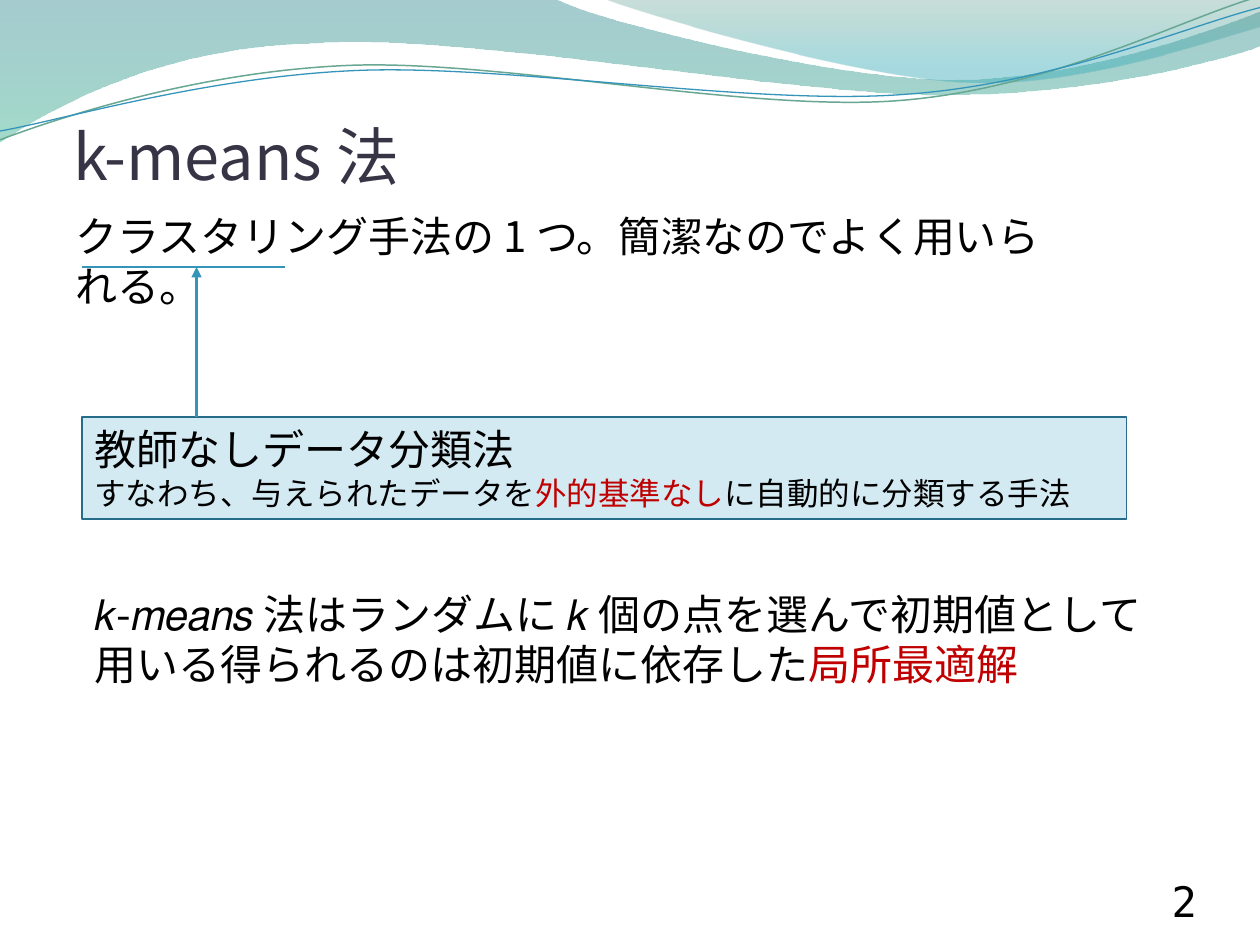
from lxml.etree import SubElement
from pptx import Presentation
from pptx.dml.color import RGBColor
from pptx.enum.shapes import MSO_CONNECTOR, MSO_SHAPE
from pptx.enum.text import MSO_ANCHOR, MSO_AUTO_SIZE, PP_ALIGN
from pptx.oxml.ns import qn
from pptx.util import Inches, Pt

SANS = "Noto Sans CJK JP"
MONO = "DejaVu Sans Mono"
BLACK = "000000"
RED = "C00000"
BLUE = "3494BA"


def add_wave(slide, start, segments, closed):
    corners = [(Inches(x), Inches(y)) for x, y in [start] + [s[-2:] for s in segments]]
    builder = slide.shapes.build_freeform(*corners[0])
    builder.add_line_segments(corners[1:], close=closed)
    shape = builder.convert_to_shape()
    shape.shadow.inherit = False
    edges = list(shape._element.iter(qn("a:lnTo")))
    for edge, segment in zip(edges, segments):
        if len(segment) == 6:
            curve = edge.makeelement(qn("a:cubicBezTo"))
            for x, y in zip(segment[::2], segment[1::2]):
                SubElement(curve, qn("a:pt"), x=str(Inches(x) - shape.left),
                           y=str(Inches(y) - shape.top))
            edge.getparent().replace(edge, curve)
    return shape


def add_runs(paragraph, size, pieces, font_name=SANS):
    for text, color in pieces:
        run = paragraph.add_run()
        run.text = text
        run.font.size = Pt(size)
        run.font.name = font_name
        run.font.color.rgb = RGBColor.from_string(color)
        SubElement(run.font._element, qn("a:ea"), typeface=font_name)


presentation = Presentation()
presentation.slide_width = Inches(10)
presentation.slide_height = Inches(7.5)
slide = presentation.slides.add_slide(presentation.slide_layouts[5])

filled_waves = [
    ((0, 0), [(4.4, -0.01), (4.75, 0.17, 6.63, 0.63, 7.58, 0.63),
              (8.53, 0.63, 9.58, 0.26, 10, 0.09), (10.01, 0.36),
              (9.83, 0.44, 8.69, 0.76, 7.46, 0.75), (6.22, 0.75, 3.81, 0.28, 2.57, 0.34),
              (1.29, 0.36, 0.46, 0.83, -0.01, 1.13)],
     [(0, "398D96", 45), (1, "58BD9F", 55)]),
    ((4.79, -0.01), [(5.09, 0.11, 6.82, 0.62, 7.68, 0.65),
                     (8.55, 0.69, 9.61, 0.32, 10, 0.21), (10, 0)],
     [(0, "4F947F", 30), (0.8, "3BAFBC", 45)]),
]
for start, segments, stops in filled_waves:
    wave = add_wave(slide, start, segments, True)
    wave.line.fill.background()
    wave.fill.gradient()
    wave.fill.gradient_angle = 270
    for stop, (position, color, opacity) in zip(wave.fill.gradient_stops, stops):
        stop.position = position
        stop.color.rgb = RGBColor.from_string(color)
    gradient_colors = list(wave._element.spPr.iter(qn("a:srgbClr")))
    for element, (position, color, opacity) in zip(gradient_colors, stops):
        SubElement(element, qn("a:alpha"), val=str(opacity * 1000))

line_waves = [
    ((0, 1.11), [(0.48, 0.93, 1.57, 0.57, 2.76, 0.52), (3.95, 0.47, 5.92, 0.89, 7.12, 0.8),
                 (8.33, 0.71, 9.38, 0.15, 9.97, -0.02)], "67A793", 0.85),
    ((0, 1.04), [(0.47, 0.96, 1.63, 0.61, 2.83, 0.56), (4.02, 0.51, 5.97, 0.84, 7.17, 0.75),
                 (8.36, 0.67, 9.41, 0.21, 10, 0.06)], BLUE, 0.75),
]
for start, segments, color, width in line_waves:
    wave = add_wave(slide, start, segments, False)
    wave.fill.background()
    wave.line.color.rgb = RGBColor.from_string(color)
    wave.line.width = Pt(width)

definition = slide.shapes.add_shape(
    MSO_SHAPE.RECTANGLE, Inches(0.65), Inches(3.31), Inches(8.29), Inches(0.81))
definition.shadow.inherit = False
definition.fill.solid()
definition.fill.fore_color.rgb = RGBColor.from_string("D4EAF3")
definition.line.color.rgb = RGBColor.from_string("266D8A")
definition.line.width = Pt(1)
definition.text_frame.word_wrap = True
definition.text_frame.vertical_anchor = MSO_ANCHOR.TOP
heading = definition.text_frame.paragraphs[0]
explanation = definition.text_frame.add_paragraph()
heading.alignment = explanation.alignment = PP_ALIGN.LEFT
add_runs(heading, 24, [("教師なしデータ分類法", BLACK)])
add_runs(explanation, 18, [("すなわち、与えられたデータを", BLACK), ("外的基準なし", RED),
                           ("に自動的に分類する手法", BLACK)])

title = slide.shapes.title
slide.shapes._spTree.append(title._element)
title.left, title.top, title.width, title.height = (
    Inches(0.5), Inches(0.28), Inches(9), Inches(1.25))
title_frame = title.text_frame
title_frame.auto_size = MSO_AUTO_SIZE.NONE
title_frame.vertical_anchor = MSO_ANCHOR.BOTTOM
title_frame.margin_left = title_frame.margin_right = title_frame.margin_bottom = 0
title_frame.margin_top = Inches(0.05)
title_paragraph = title_frame.paragraphs[0]
title_paragraph.alignment = PP_ALIGN.LEFT
title_paragraph.line_spacing = 0.8
title_paragraph._p.get_or_add_pPr().set("marL", str(Inches(0.08)))
add_runs(title_paragraph, 36, [("k-means 法", "373545")])

number_box = slide.shapes.add_textbox(Inches(8.67), Inches(6.95), Inches(0.83), Inches(0.4))
number_frame = number_box.text_frame
number_frame.word_wrap = True
number_frame.vertical_anchor = MSO_ANCHOR.BOTTOM
number_frame.margin_left = number_frame.margin_right = 0
number_frame.margin_top = number_frame.margin_bottom = 0
number_frame.paragraphs[0].alignment = PP_ALIGN.RIGHT
add_runs(number_frame.paragraphs[0], 24, [("2", BLACK)], MONO)

body_texts = [
    (0.5, 1.62, 8.01, 0.5,
     [("クラスタリング手法の 1 つ。簡潔なのでよく用いられる。", BLACK)]),
    (0.65, 4.62, 8.6, 0.91,
     [("𝑘-𝑚𝑒𝑎𝑛𝑠 法はランダムに 𝑘 個の点を選んで初期値として用いる得られるのは初期値に依存した", BLACK),
      ("局所最適解", RED)]),
]
for left, top, width, height, pieces in body_texts:
    body = slide.shapes.add_textbox(Inches(left), Inches(top), Inches(width), Inches(height))
    body.text_frame.word_wrap = True
    body.text_frame.auto_size = MSO_AUTO_SIZE.SHAPE_TO_FIT_TEXT
    add_runs(body.text_frame.paragraphs[0], 24, pieces)

for x1, y1, x2, y2, has_arrow in [(1.56, 3.31, 1.56, 2.12, True), (2.26, 2.12, 0.65, 2.12, False)]:
    connector = slide.shapes.add_connector(
        MSO_CONNECTOR.STRAIGHT, Inches(x1), Inches(y1), Inches(x2), Inches(y2))
    connector.line.color.rgb = RGBColor.from_string(BLUE)
    connector.line.width = Pt(1.5)
    if has_arrow:
        SubElement(connector.line._get_or_add_ln(), qn("a:tailEnd"), type="triangle")
    SubElement(connector._element.spPr, qn("a:effectLst"))

presentation.save("out.pptx")
